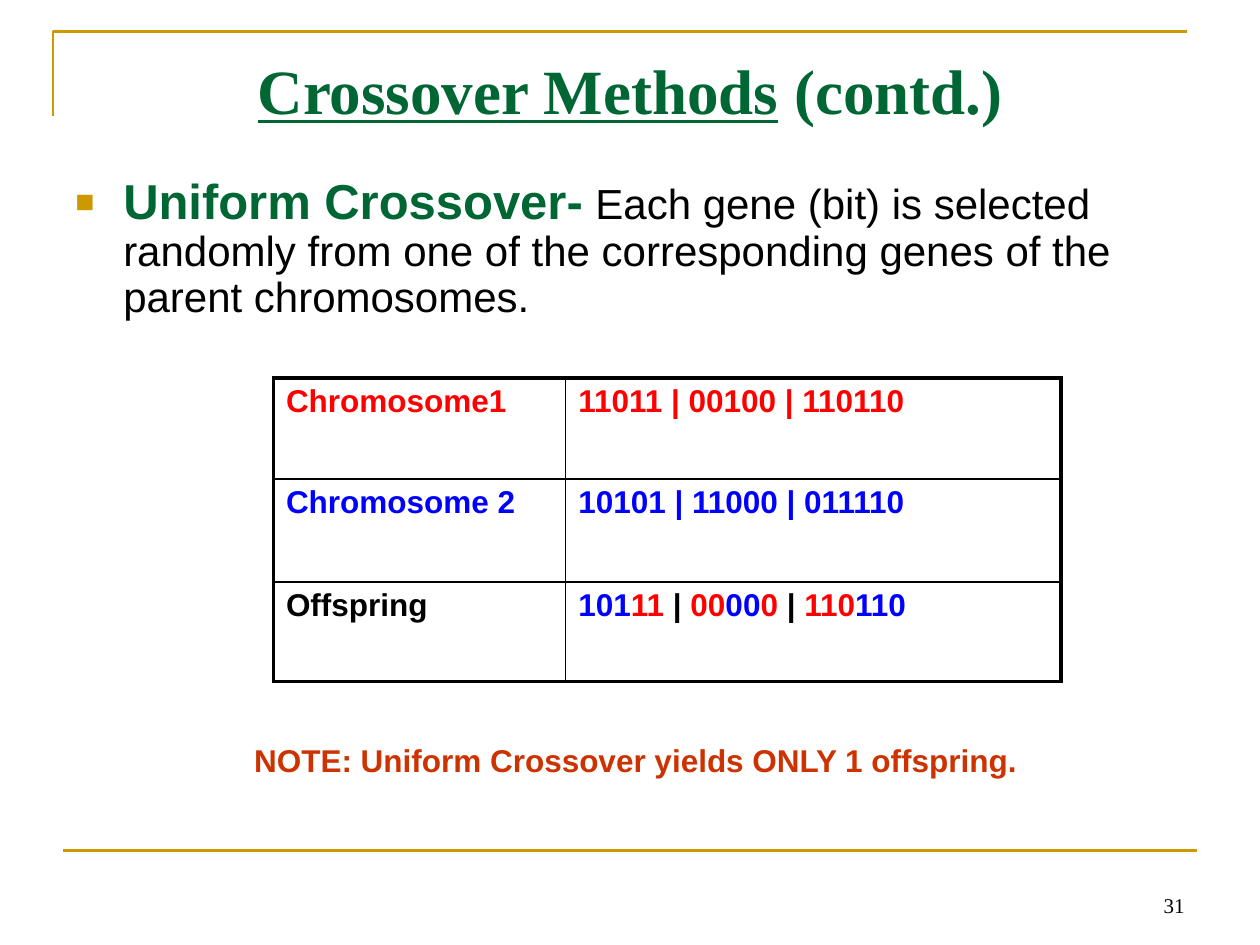
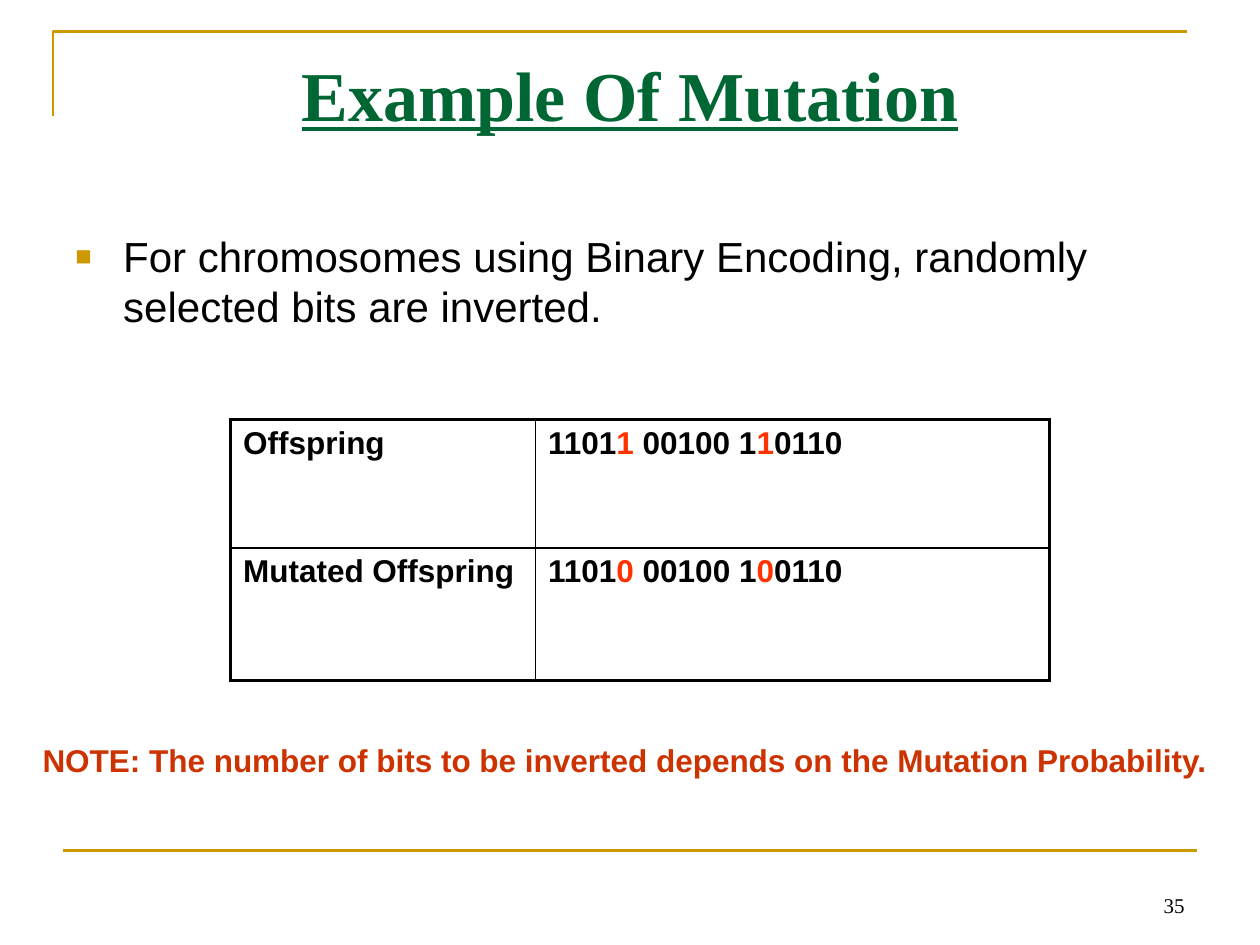
from dataclasses import dataclass
from typing import Any

from lxml import etree
from pptx import Presentation
from pptx.dml.color import RGBColor
from pptx.enum.shapes import MSO_CONNECTOR
from pptx.enum.text import MSO_ANCHOR, MSO_AUTO_SIZE, PP_ALIGN
from pptx.oxml.ns import qn
from pptx.util import Inches, Pt

STRAIGHT = MSO_CONNECTOR.STRAIGHT
TOP, BOTTOM = MSO_ANCHOR.TOP, MSO_ANCHOR.BOTTOM
LEFT, CENTER, RIGHT = PP_ALIGN.LEFT, PP_ALIGN.CENTER, PP_ALIGN.RIGHT
NO_AUTOSIZE = MSO_AUTO_SIZE.NONE
TITLE_ONLY = 5


@dataclass(frozen=True)
class Theme:
    heading_font: str = "Times New Roman"
    body_font: str = "Arial"
    green: str = "006633"
    gold: str = "CC9900"
    black: str = "000000"
    red: str = "FF0000"
    blue: str = "0000FF"
    flipped: str = "FF3300"
    rust: str = "CC3300"
    lead_size: int = 28
    body_size: int = 24
    small_size: int = 18
    number_size: int = 12
    rule_width: float = 1.5
    outer_border: float = 2.25
    inner_border: float = 1


THEME = Theme()


@dataclass(frozen=True)
class Box:
    left: float
    top: float
    width: float
    height: float

    def lengths(self) -> list[int]:
        return [Inches(value) for value in (self.left, self.top, self.width, self.height)]


@dataclass(frozen=True)
class Run:
    text: str
    color: str = THEME.black
    size: int = THEME.small_size
    bold: bool = True
    underline: bool = False
    font: str = THEME.body_font


@dataclass(frozen=True)
class Grid:
    box: Box
    columns: list[float]
    rows: list[float]
    cells: list[list[list[Run]]]


@dataclass(frozen=True)
class Page:
    number: int
    title: list[Run]
    title_height: float
    body: list[Run]
    body_box: Box
    line_spacing: float
    grid: Grid
    note: str
    note_box: Box


def apply_format(target: Any, values: dict[str, Any]) -> None:
    for name, value in values.items():
        setattr(target, name, value)


def write_runs(paragraph: Any, runs: list[Run]) -> None:
    for item in runs:
        run = paragraph.add_run()
        run.text = item.text
        apply_format(run.font, {
            "name": item.font, "size": Pt(item.size),
            "bold": item.bold, "underline": item.underline,
        })
        run.font.color.rgb = RGBColor.from_string(item.color)


def fill_text(shape: Any, runs: list[Run], alignment: Any, anchor: Any = TOP,
              top_inset: float = 0.05) -> Any:
    apply_format(shape.text_frame, {
        "word_wrap": True, "auto_size": NO_AUTOSIZE, "vertical_anchor": anchor,
        "margin_left": Inches(0.1), "margin_right": Inches(0.1),
        "margin_top": Inches(top_inset), "margin_bottom": Inches(0.05),
    })
    paragraph = shape.text_frame.paragraphs[0]
    paragraph.alignment = alignment
    write_runs(paragraph, runs)
    return paragraph


def add_text(slide: Any, box: Box, runs: list[Run], alignment: Any, **options: Any) -> Any:
    return fill_text(slide.shapes.add_textbox(*box.lengths()), runs, alignment, **options)


def style_rule(shape: Any) -> None:
    shape.line.color.rgb = RGBColor.from_string(THEME.gold)
    shape.line.width = Pt(THEME.rule_width)


def draw_frame(slide: Any, number: int) -> None:
    builder = slide.shapes.build_freeform(Inches(0.42), Inches(0.92))
    corner = [(Inches(0.42), Inches(0.25)), (Inches(9.42), Inches(0.25))]
    builder.add_line_segments(corner, close=False)
    bracket = builder.convert_to_shape()
    bracket.fill.background()
    bracket.shadow.inherit = False
    style_rule(bracket)

    footer_rule = slide.shapes.add_connector(
        STRAIGHT, Inches(0.5), Inches(6.75), Inches(9.5), Inches(6.75))
    etree.SubElement(footer_rule._element.spPr, qn("a:effectLst"))
    style_rule(footer_rule)

    number_run = Run(str(number), size=THEME.number_size, bold=False, font=THEME.heading_font)
    add_text(slide, Box(7.17, 6.83, 2.33, 0.5), [number_run], RIGHT, anchor=BOTTOM)


def draw_title(slide: Any, page: Page) -> None:
    title = slide.shapes.title
    box = Box(0.5, 0.3, 9, page.title_height)
    apply_format(title, dict(zip(("left", "top", "width", "height"), box.lengths())))
    fill_text(title, page.title, CENTER, top_inset=0.11)


def add_bullet(paragraph: Any) -> None:
    properties = paragraph._p.get_or_add_pPr()
    properties.set("marL", str(Inches(0.38)))
    properties.set("indent", str(Inches(-0.38)))
    color = etree.SubElement(properties, qn("a:buClr"))
    etree.SubElement(color, qn("a:srgbClr"), val=THEME.gold)
    etree.SubElement(properties, qn("a:buSzPct"), val="65000")
    etree.SubElement(properties, qn("a:buFont"), typeface=THEME.body_font)
    etree.SubElement(properties, qn("a:buChar"), char="■")


def draw_body(slide: Any, page: Page) -> None:
    paragraph = add_text(slide, page.body_box, [], LEFT, top_inset=0.08)
    add_bullet(paragraph)
    paragraph.line_spacing = page.line_spacing
    write_runs(paragraph, page.body)


def set_borders(cell: Any, outer_sides: dict[str, bool]) -> None:
    properties = cell._tc.get_or_add_tcPr()
    for side, is_outer in outer_sides.items():
        width = THEME.outer_border if is_outer else THEME.inner_border
        line = etree.SubElement(properties, qn(f"a:ln{side}"), w=str(Pt(width)))
        fill = etree.SubElement(line, qn("a:solidFill"))
        etree.SubElement(fill, qn("a:srgbClr"), val=THEME.black)


def draw_grid(slide: Any, grid: Grid) -> None:
    row_count, column_count = len(grid.rows), len(grid.columns)
    table = slide.shapes.add_table(row_count, column_count, *grid.box.lengths()).table
    apply_format(table, {"first_row": False, "horz_banding": False})
    for column, width in zip(table.columns, grid.columns):
        column.width = Inches(width)
    for row, height in zip(table.rows, grid.rows):
        row.height = Inches(height)
    for row_index, row_cells in enumerate(grid.cells):
        for column_index, runs in enumerate(row_cells):
            cell = table.cell(row_index, column_index)
            write_runs(cell.text_frame.paragraphs[0], runs)
            set_borders(cell, {
                "L": column_index == 0, "R": column_index == column_count - 1,
                "T": row_index == 0, "B": row_index == row_count - 1,
            })
            cell.fill.background()


def heading(text: str, size: int, underline: bool = True) -> Run:
    return Run(text, THEME.green, size, underline=underline, font=THEME.heading_font)


def body(text: str, size: int = THEME.body_size) -> Run:
    return Run(text, size=size, bold=False)


def colored(*parts: tuple[str, str]) -> list[Run]:
    return [Run(text, color) for text, color in parts]


BLACK, RED, BLUE, FLIPPED = THEME.black, THEME.red, THEME.blue, THEME.flipped

UNIFORM_CROSSOVER = Page(
    number=31,
    title=[heading("Crossover Methods", 36), heading(" (contd.)", 36, underline=False)],
    title_height=0.7,
    body=[
        Run("Uniform Crossover-", THEME.green, THEME.lead_size),
        body(" ", 26),
        body("Each gene (bit) is selected randomly from one of the corresponding "
             "genes of the parent chromosomes."),
    ],
    body_box=Box(0.5, 1.33, 9.08, 1.33),
    line_spacing=0.9,
    grid=Grid(
        Box(2.17, 3, 6.25, 2.41), [2.32, 3.93], [0.8, 0.82, 0.79],
        [
            [colored(("Chromosome1", RED)), colored(("11011 | 00100 | 110110", RED))],
            [colored(("Chromosome 2", BLUE)), colored(("10101 | 11000 | 011110", BLUE))],
            [colored(("Offspring", BLACK)),
             colored(("101", BLUE), ("11", RED), (" | ", BLACK), ("00", RED), ("00", BLUE),
                     ("0 ", RED), ("| ", BLACK), ("110", RED), ("110", BLUE))],
        ],
    ),
    note="NOTE: Uniform Crossover yields ONLY 1 offspring.",
    note_box=Box(1.17, 5.83, 7.75, 0.4),
)

MUTATION = Page(
    number=35,
    title=[heading("Example Of Mutation", 40)],
    title_height=1.25,
    body=[body("For chromosomes using Binary Encoding, randomly selected bits are inverted.")],
    body_box=Box(0.5, 1.75, 9, 4.95),
    line_spacing=1.0,
    grid=Grid(
        Box(1.83, 3.33, 6.5, 2.07), [2.42, 4.08], [1.02, 1.05],
        [
            [colored(("Offspring", BLACK)),
             colored(("1101", BLACK), ("1", FLIPPED), (" 00100 1", BLACK),
                     ("1", FLIPPED), ("0110", BLACK))],
            [colored(("Mutated Offspring", BLACK)),
             colored(("1101", BLACK), ("0 ", FLIPPED), ("00100 1", BLACK),
                     ("0", FLIPPED), ("0110", BLACK))],
        ],
    ),
    note="NOTE: The number of bits to be inverted depends on the Mutation Probability.",
    note_box=Box(0.17, 5.83, 9.58, 0.4),
)


def draw_page(presentation: Any, page: Page) -> None:
    slide = presentation.slides.add_slide(presentation.slide_layouts[TITLE_ONLY])
    draw_frame(slide, page.number)
    draw_title(slide, page)
    draw_body(slide, page)
    draw_grid(slide, page.grid)
    add_text(slide, page.note_box, [Run(page.note, THEME.rust)], CENTER)


def main() -> None:
    presentation = Presentation()
    apply_format(presentation, {"slide_width": Inches(10), "slide_height": Inches(7.5)})
    for page in (UNIFORM_CROSSOVER, MUTATION):
        draw_page(presentation, page)
    presentation.save("out.pptx")


if __name__ == "__main__":
    main()
